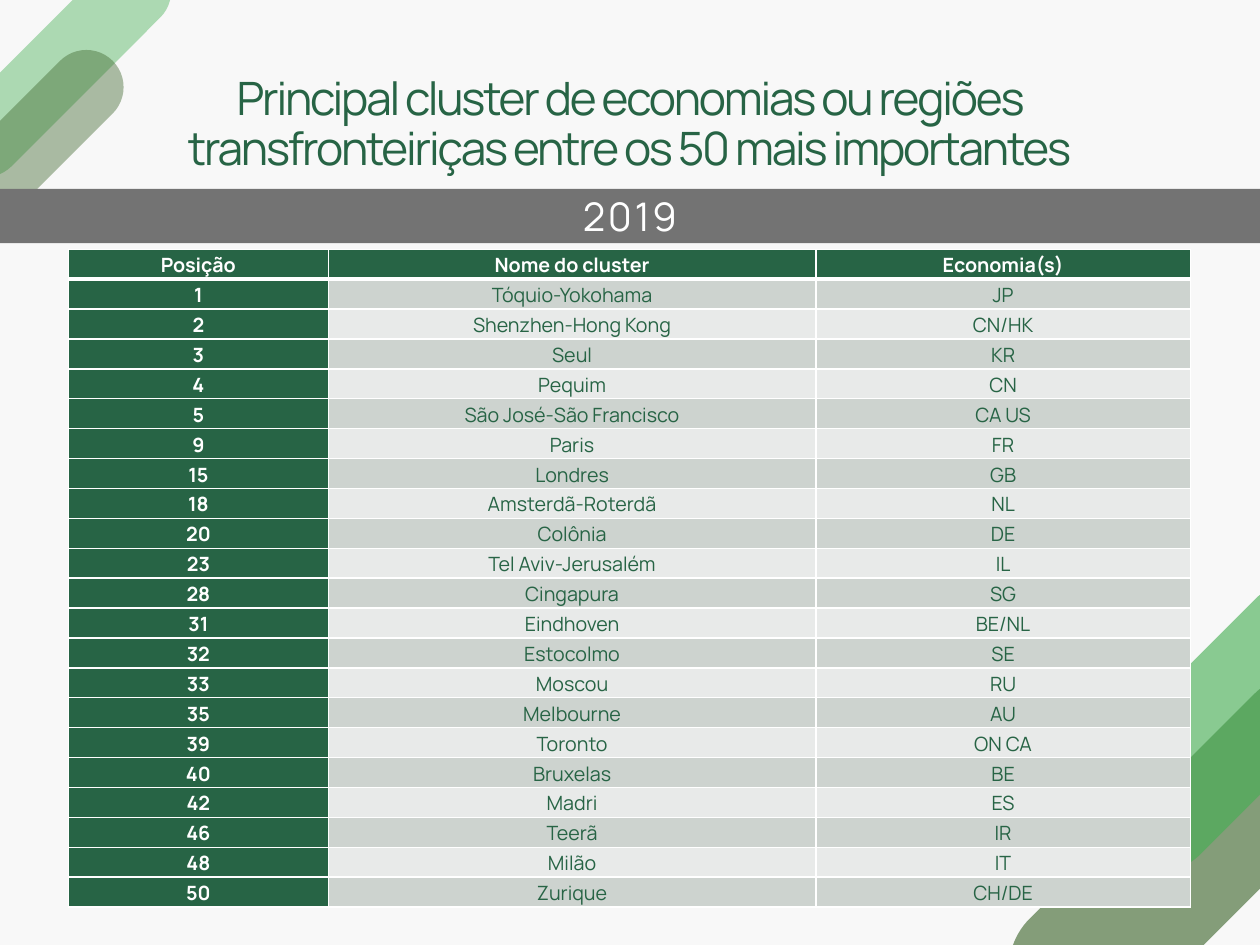
from lxml.etree import SubElement
from pptx import Presentation
from pptx.dml.color import RGBColor
from pptx.enum.shapes import MSO_SHAPE
from pptx.enum.text import MSO_ANCHOR, PP_ALIGN
from pptx.oxml.ns import qn
from pptx.util import Inches, Pt

FONT = "Manrope"
COLORS = {
    "background": "F8F8F8", "bar": "737373", "white": "FFFFFF",
    "green": "276445", "olive": "3E662C", "bright": "45AF53",
    "odd": "CDD3CF", "even": "E8EAE9",
}
TITLE = ("Principal cluster de economias ou regiões "
         "transfronteiriças entre os 50 mais importantes")
HEADERS = ("Posição", "Nome do cluster", "Economia(s)")
CLUSTERS = [
    ("1", "Tóquio-Yokohama", "JP"),
    ("2", "Shenzhen-Hong Kong", "CN/HK"),
    ("3", "Seul", "KR"),
    ("4", "Pequim", "CN"),
    ("5", "São José-São Francisco", "CA US"),
    ("9", "Paris", "FR"),
    ("15", "Londres", "GB"),
    ("18", "Amsterdã-Roterdã", "NL"),
    ("20", "Colônia", "DE"),
    ("23", "Tel Aviv-Jerusalém", "IL"),
    ("28", "Cingapura", "SG"),
    ("31", "Eindhoven", "BE/NL"),
    ("32", "Estocolmo", "SE"),
    ("33", "Moscou", "RU"),
    ("35", "Melbourne", "AU"),
    ("39", "Toronto", "ON CA"),
    ("40", "Bruxelas", "BE"),
    ("42", "Madri", "ES"),
    ("46", "Teerã", "IR"),
    ("48", "Milão", "IT"),
    ("50", "Zurique", "CH/DE"),
]
COLUMN_WIDTHS = (2.2, 4.13, 3.17)
# left, top, width, height, colour, opacity in percent
BANDS = [
    (8.15, 6.65, 3.89, 1.2, "olive", 62),
    (8.88, 5.55, 3.04, 1.2, "bright", 62),
    (-0.7, 0.24, 2.41, 0.63, "bright", 42),
    (-0.71, 0.89, 1.95, 0.63, "olive", 42),
]


def color(name):
    return RGBColor.from_string(COLORS[name])


def write(frame, text, *, size, tone, bold=False, tracking=None,
          line_spacing=None, space_after=None):
    """Put one centred paragraph in a text frame; tracking is in points."""
    para = frame.paragraphs[0]
    para.alignment = PP_ALIGN.CENTER
    para.line_spacing = line_spacing
    if space_after is not None:
        para.space_after = Pt(space_after)
    span = para.add_run()
    span.text = text
    span.font.name = FONT
    span.font.size = Pt(size)
    span.font.bold = bold
    span.font.color.rgb = color(tone)
    if tracking is not None:
        span.font._element.set("spc", str(round(tracking * 100)))


def add_filled(page, shape_type, box, tone):
    shape = page.shapes.add_shape(shape_type, *map(Inches, box))
    shape.shadow.inherit = False
    shape.fill.solid()
    shape.fill.fore_color.rgb = color(tone)
    shape.line.fill.background()
    return shape


def add_band(page, box, tone, opacity):
    """Draw a translucent diagonal band with round ends."""
    band = add_filled(page, MSO_SHAPE.ROUNDED_RECTANGLE, box, tone)
    band.adjustments[0] = 0.5
    band.rotation = 315
    tint = band._element.spPr.find(qn("a:solidFill"))[0]
    SubElement(tint, qn("a:alpha"), val=str(opacity * 1000))


def add_title(page, box):
    frame = page.shapes.add_textbox(*map(Inches, box)).text_frame
    frame.word_wrap = True
    frame.vertical_anchor = MSO_ANCHOR.MIDDLE
    write(frame, TITLE, size=28, tone="green", tracking=-1.3, line_spacing=0.9)


def add_year_bar(page, box):
    frame = add_filled(page, MSO_SHAPE.RECTANGLE, box, "bar").text_frame
    frame.vertical_anchor = MSO_ANCHOR.TOP
    frame.margin_top = Inches(0.03)
    frame.margin_bottom = 0
    write(frame, "2019", size=24, tone="white", tracking=1.6)


def set_borders(cell, **widths):
    """Give a cell white borders, with widths in points by side (L, R, T, B)."""
    properties = cell._tc.get_or_add_tcPr()
    for side, width in widths.items():
        line = SubElement(properties, qn(f"a:ln{side}"), w=str(Pt(width)))
        fill = SubElement(line, qn("a:solidFill"))
        SubElement(fill, qn("a:srgbClr"), val=COLORS["white"])


def fill_cell(cell, text, row, column):
    strong = row == 0 or column == 0
    cell.margin_top = cell.margin_bottom = 0
    cell.margin_left = cell.margin_right = Inches(0.09)
    cell.vertical_anchor = MSO_ANCHOR.MIDDLE
    set_borders(cell, L=1, R=1, T=3 if row == 1 else 1, B=3 if row == 0 else 1)
    cell.fill.solid()
    cell.fill.fore_color.rgb = color(
        "green" if strong else "odd" if row % 2 else "even")
    write(cell.text_frame, text, size=12, tone="white" if strong else "green",
          bold=strong, line_spacing=1.07, space_after=8)


def add_cluster_table(page, box):
    rows = [HEADERS, *CLUSTERS]
    table = page.shapes.add_table(
        len(rows), len(HEADERS), *map(Inches, box)).table
    for column, width in zip(table.columns, COLUMN_WIDTHS):
        column.width = Inches(width)
    for row, values in enumerate(rows):
        table.rows[row].height = Inches(box[3] / len(rows))
        for column, text in enumerate(values):
            fill_cell(table.cell(row, column), text, row, column)


def main():
    deck = Presentation()
    deck.slide_width, deck.slide_height = Inches(10.67), Inches(8)
    page = deck.slides.add_slide(deck.slide_layouts[6])
    page.background.fill.solid()
    page.background.fill.fore_color.rgb = color("background")
    for *box, tone, opacity in BANDS:
        add_band(page, box, tone, opacity)
    add_year_bar(page, (0, 1.6, 10.67, 0.46))
    add_title(page, (0.58, 0.58, 9.5, 0.97))
    add_cluster_table(page, (0.58, 2.11, 9.5, 5.57))
    deck.save("out.pptx")


if __name__ == "__main__":
    main()
